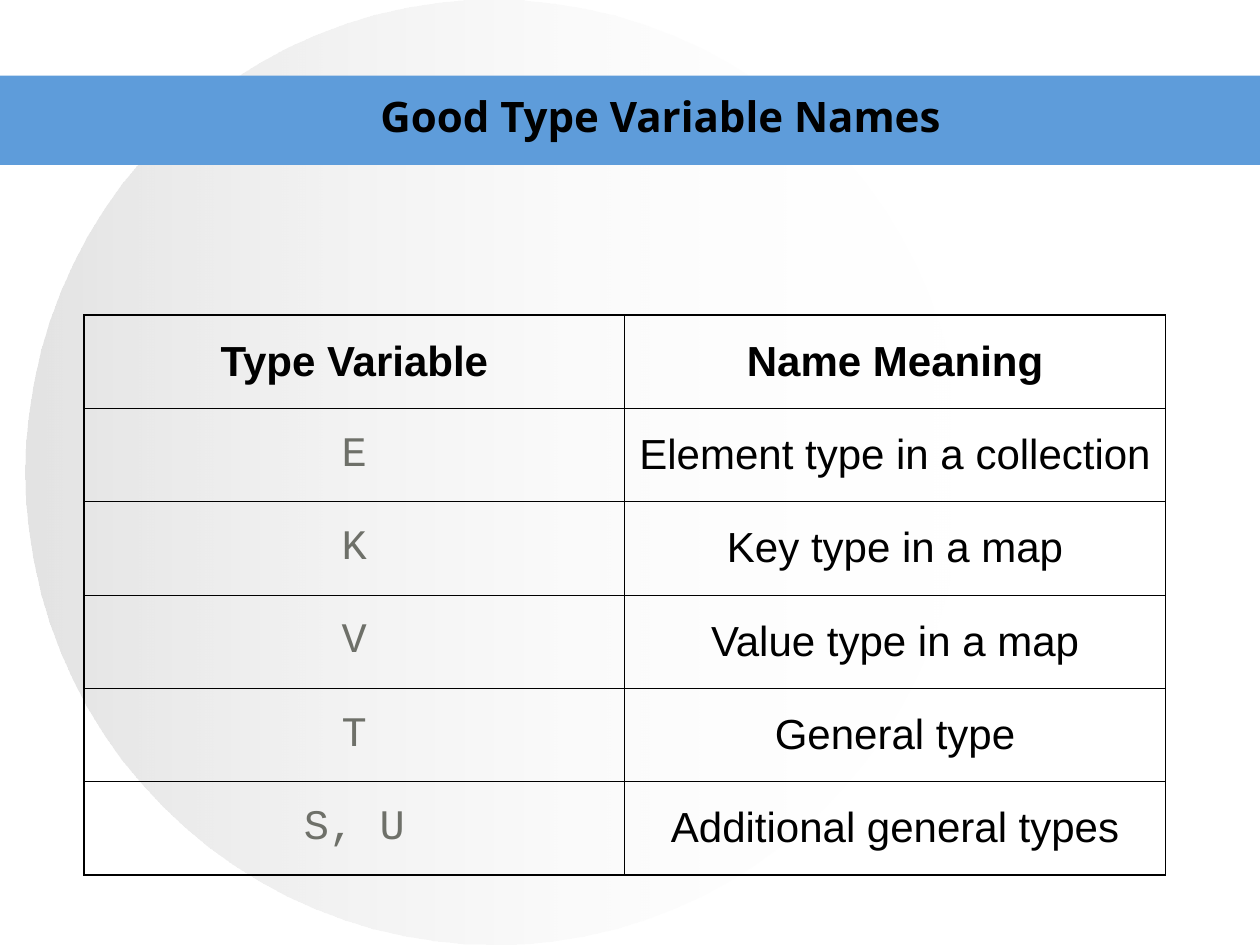
from lxml import etree
from pptx import Presentation
from pptx.dml.color import RGBColor
from pptx.enum.shapes import MSO_SHAPE
from pptx.enum.text import MSO_ANCHOR, MSO_AUTO_SIZE, PP_ALIGN
from pptx.oxml.ns import qn
from pptx.util import Pt

OVAL, RECTANGLE = MSO_SHAPE.OVAL, MSO_SHAPE.RECTANGLE
TOP, MIDDLE = MSO_ANCHOR.TOP, MSO_ANCHOR.MIDDLE
LEFT, CENTER = PP_ALIGN.LEFT, PP_ALIGN.CENTER
NO_AUTOFIT = MSO_AUTO_SIZE.NONE
TITLE_ONLY = 5

TITLE = "Good Type Variable Names"
HEADER = ("Type Variable", "Name Meaning")
MEANINGS = [
    ("E", "Element type in a collection"),
    ("K", "Key type in a map"),
    ("V", "Value type in a map"),
    ("T", "General type"),
    ("S, U", "Additional general types"),
]

THEME = {
    "text": "000000", "code": "6E7069", "band": "5E9CDA", "border": "000000",
    "title_font": "Open Sans", "body_font": "Arial", "code_font": "Courier New",
    "size": 24, "outer_line": 1.08, "inner_line": 0.45,
    # colour and opacity in percent
    "circle": [("C0C0C0", 44), ("FFFFFF", 0)],
}

SLIDE_SIZE = (720, 540)
CIRCLE_BOX = (14.4, 0, 535.6, 540)
BAND_BOX = (0, 43.2, 720, 51.1)
TITLE_BOX = (210.2, 48.2, 396, 36)
TABLE_BOX = (48, 180, 618, 320)


def points(values):
    return [Pt(value) for value in values]


def write_text(frame, text, *, font="body_font", color="text", bold=False,
               align=CENTER, space_before=0):
    paragraph = frame.paragraphs[0]
    paragraph.alignment = align
    paragraph.space_before = Pt(space_before)
    run = paragraph.add_run()
    run.text = text
    run.font.name = THEME[font]
    run.font.size = Pt(THEME["size"])
    run.font.bold = bold
    run.font.color.rgb = RGBColor.from_string(THEME[color])


def add_plain_shape(slide, kind, box):
    shape = slide.shapes.add_shape(kind, *points(box))
    shape.shadow.inherit = False
    shape.line.fill.background()
    return shape


def add_background(slide):
    circle = add_plain_shape(slide, OVAL, CIRCLE_BOX)
    circle.fill.gradient()
    circle.fill.gradient_angle = 0
    for stop, (color, opacity) in zip(circle.fill.gradient_stops, THEME["circle"]):
        stop.color.rgb = RGBColor.from_string(color)
    color_elements = circle.element.spPr.iter(qn("a:srgbClr"))
    for element, (color, opacity) in zip(color_elements, THEME["circle"]):
        etree.SubElement(element, qn("a:alpha"), val=str(opacity * 1000))

    band = add_plain_shape(slide, RECTANGLE, BAND_BOX)
    band.fill.solid()
    band.fill.fore_color.rgb = RGBColor.from_string(THEME["band"])


def add_title(slide):
    title = slide.shapes.title
    title.left, title.top, title.width, title.height = points(TITLE_BOX)
    frame = title.text_frame
    frame.word_wrap = True
    frame.auto_size = NO_AUTOFIT
    frame.vertical_anchor = TOP
    write_text(frame, TITLE, font="title_font", bold=True, align=LEFT)
    slide.shapes.element.append(title.element)  # bring in front of the band


def set_borders(cell, outer_sides):
    properties = cell._tc.get_or_add_tcPr()
    for side in "LRTB":
        width = THEME["outer_line" if side in outer_sides else "inner_line"]
        line = etree.SubElement(properties, qn(f"a:ln{side}"), w=str(int(Pt(width))))
        fill = etree.SubElement(line, qn("a:solidFill"))
        etree.SubElement(fill, qn("a:srgbClr"), val=THEME["border"])


def add_meaning_table(slide):
    rows = [HEADER, *MEANINGS]
    last_row, last_column = len(rows) - 1, len(HEADER) - 1
    table = slide.shapes.add_table(len(rows), len(HEADER), *points(TABLE_BOX)).table
    for row_index, row in enumerate(rows):
        for column_index, text in enumerate(row):
            cell = table.cell(row_index, column_index)
            outer_sides = [side for side, is_outer in (
                ("L", column_index == 0), ("R", column_index == last_column),
                ("T", row_index == 0), ("B", row_index == last_row)) if is_outer]
            set_borders(cell, outer_sides)
            cell.fill.background()
            cell.vertical_anchor = MIDDLE
            is_header = row_index == 0
            is_code = column_index == 0 and not is_header
            write_text(cell.text_frame, text, bold=is_header, space_before=6,
                       font="code_font" if is_code else "body_font",
                       color="code" if is_code else "text")


def main():
    presentation = Presentation()
    presentation.slide_width, presentation.slide_height = points(SLIDE_SIZE)
    slide = presentation.slides.add_slide(presentation.slide_layouts[TITLE_ONLY])
    add_background(slide)
    add_title(slide)
    add_meaning_table(slide)
    presentation.save("out.pptx")


if __name__ == "__main__":
    main()
